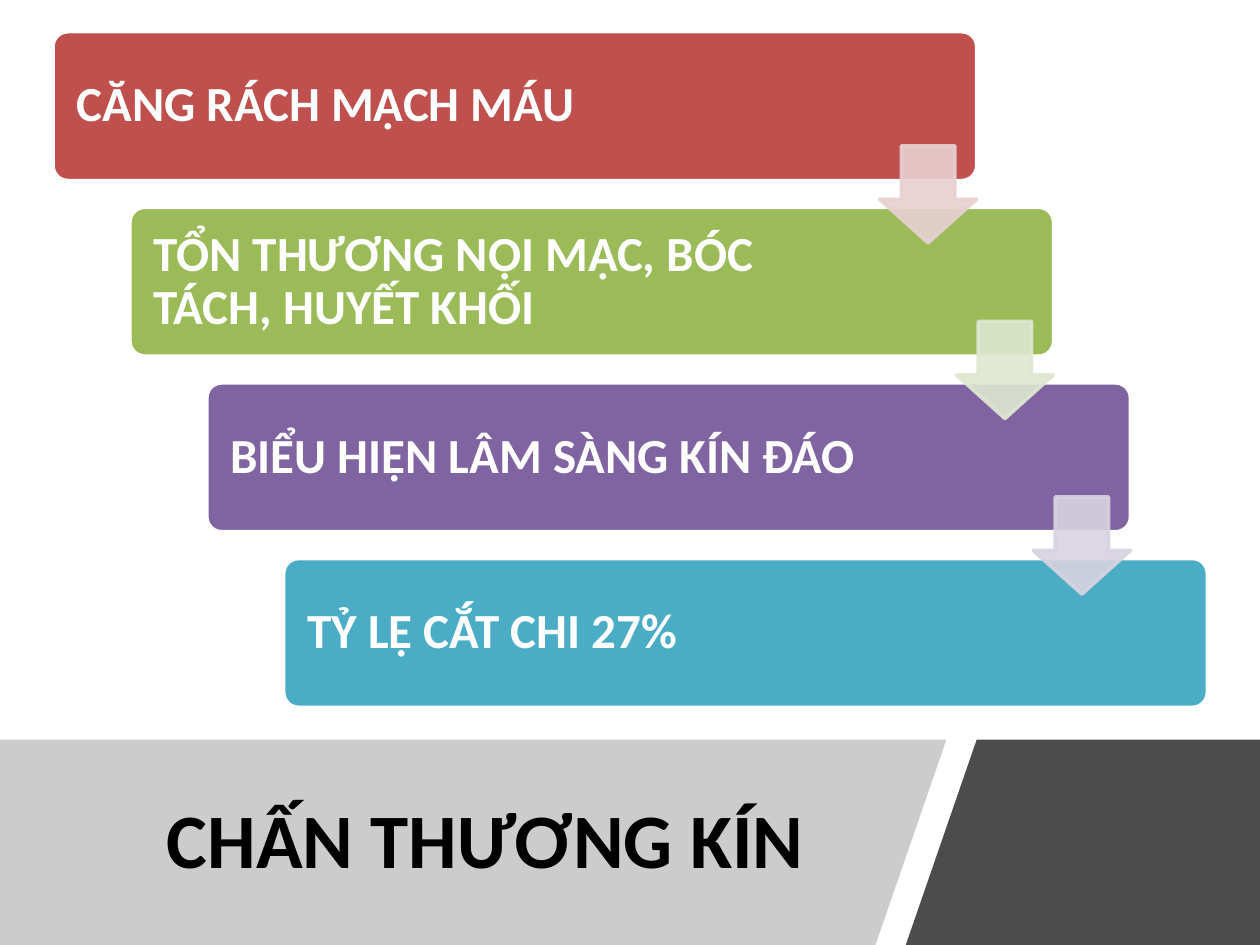
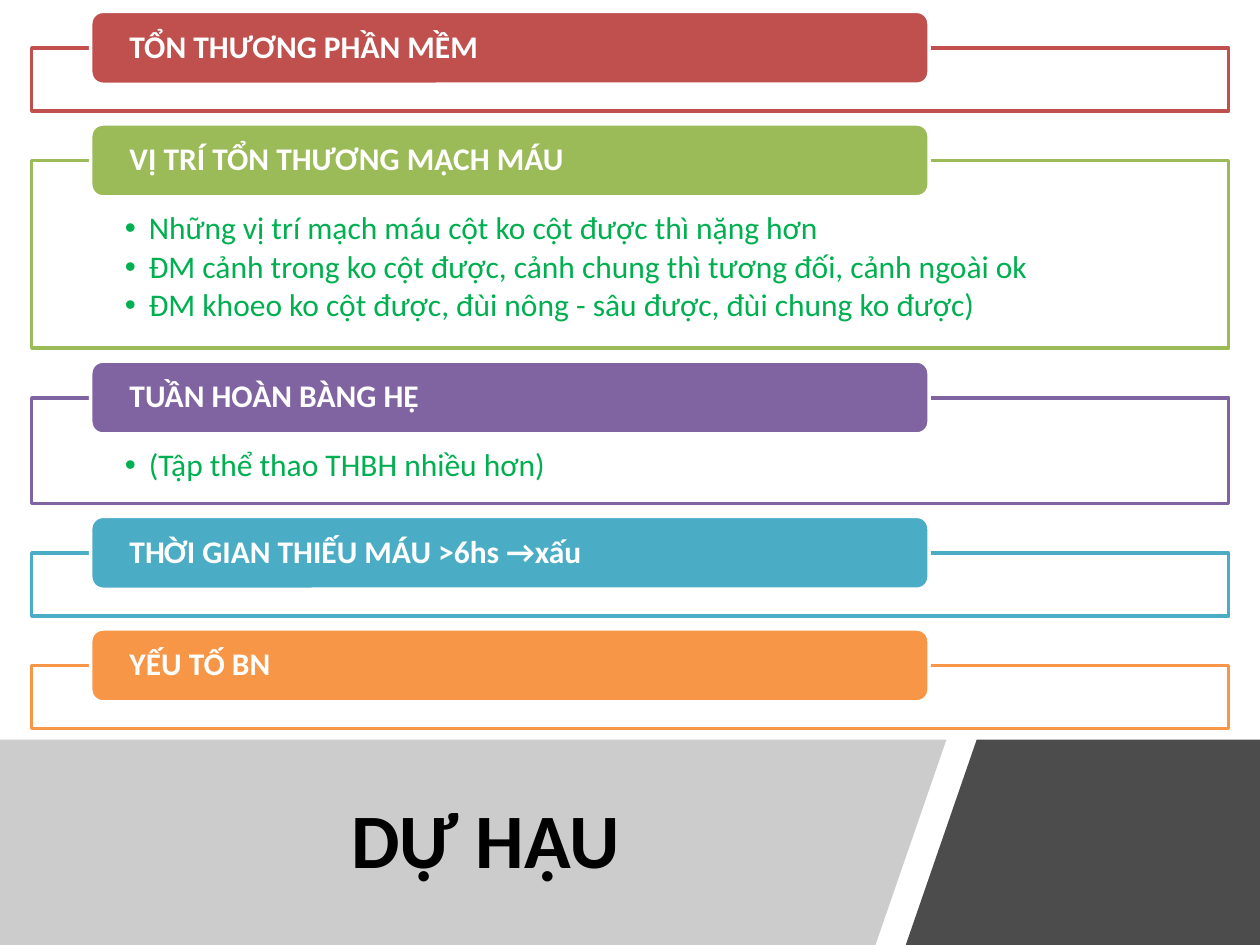
"""Build two slides on closed vascular trauma and its prognosis."""
from lxml import etree
from pptx import Presentation
from pptx.dml.color import RGBColor
from pptx.enum import shapes, text
from pptx.oxml import ns
from pptx.util import Cm, Pt

FONT = "Calibri"
COLORS = {
    "red": "C0504D", "green": "9BBB59", "purple": "8064A2", "teal": "4BACC6",
    "orange": "F79646", "pale red": "E8D0D0", "pale green": "DEE7D1",
    "pale purple": "D8D3E0", "white": "FFFFFF", "black": "000000",
    "gray": "808080", "body": "00B050",
}

TRAUMA_TITLE = "CHẤN THƯƠNG KÍN"
TRAUMA_STEPS = [
    ("CĂNG RÁCH MẠCH MÁU", "red"),
    ("TỔN THƯƠNG NỘI MẠC, BÓC TÁCH, HUYẾT KHỐI", "green"),
    ("BIỂU HIỆN LÂM SÀNG KÍN ĐÁO", "purple"),
    ("TỶ LỆ CẮT CHI 27%", "teal"),
]
PROGNOSIS_TITLE = "DỰ HẬU"
PROGNOSIS_FACTORS = [
    ("TỔN THƯƠNG PHẦN MỀM", "red", 1.27, []),
    ("VỊ TRÍ TỔN THƯƠNG MẠCH MÁU", "green", 3.78, [
        "Những vị trí mạch máu cột ko cột được thì nặng hơn",
        "ĐM cảnh trong ko cột được, cảnh chung thì tương đối, cảnh ngoài ok",
        "ĐM khoeo ko cột được, đùi nông - sâu được, đùi chung ko được)",
    ]),
    ("TUẦN HOÀN BÀNG HỆ", "purple", 2.13, ["(Tập thể thao THBH nhiều hơn)"]),
    ("THỜI GIAN THIẾU MÁU >6hs →xấu", "teal", 1.27, []),
    ("YẾU TỐ BN", "orange", 1.27, []),
]

SLIDE_WIDTH, SLIDE_HEIGHT, BAND_TOP = 25.4, 19.05, 14.91
TITLE_BAND = [(0, BAND_TOP), (19.08, BAND_TOP), (17.65, SLIDE_HEIGHT), (0, SLIDE_HEIGHT)]
CORNER_BAND = [(19.69, BAND_TOP), (SLIDE_WIDTH, BAND_TOP),
               (SLIDE_WIDTH, SLIDE_HEIGHT), (18.26, SLIDE_HEIGHT)]


def paint(shape, fill, line=None, opacities=()):
    """Set fill, outline and their opacities in percent, and drop the shadow."""
    shape.shadow.inherit = False
    shape.fill.solid()
    shape.fill.fore_color.rgb = RGBColor.from_string(COLORS[fill])
    if line:
        shape.line.color.rgb = RGBColor.from_string(COLORS[line])
        shape.line.width = Pt(2)
    else:
        shape.line.fill.background()
    colors = shape.element.spPr.iter(ns.qn("a:srgbClr"))
    for color, opacity in zip(list(colors), opacities):
        etree.SubElement(color, ns.qn("a:alpha"), val=str(opacity * 1000))


def add_block(slide, kind, box, fill, line, opacities=(), adjustments=()):
    """Add a painted preset shape at a box given in centimetres."""
    shape = slide.shapes.add_shape(kind, *map(Cm, box))
    for index, value in enumerate(adjustments):
        shape.adjustments[index] = value
    paint(shape, fill, line, opacities)
    return shape


def write(shape, lines, size, color, insets, bold=True, bulleted=False):
    """Fill a shape with left-aligned paragraphs."""
    frame = shape.text_frame
    frame.word_wrap = True
    frame.margin_left, frame.margin_top, frame.margin_right, frame.margin_bottom = map(Cm, insets)
    frame.vertical_anchor = text.MSO_ANCHOR.TOP if bulleted else text.MSO_ANCHOR.MIDDLE
    frame.text = "\n".join(lines)
    for paragraph in frame.paragraphs:
        paragraph.alignment = text.PP_ALIGN.LEFT
        paragraph.line_spacing = 0.9
        if bulleted:
            paragraph.level = 1
            paragraph.space_after = Pt(2.7)
            properties = paragraph._p.get_or_add_pPr()
            properties.set("marL", str(Cm(0.48)))
            properties.set("indent", str(-Cm(0.48)))
            etree.SubElement(properties, ns.qn("a:buFont"), typeface="Arial")
            etree.SubElement(properties, ns.qn("a:buChar"), char="•")
        style_runs(paragraph, size, color, bold)


def style_runs(paragraph, size, color, bold):
    """Format every run of a paragraph."""
    for run in paragraph.runs:
        run.font.name, run.font.size, run.font.bold = FONT, Pt(size), bold
        run.font.color.rgb = RGBColor.from_string(COLORS[color])


def add_band(slide, points, fill, opacity):
    """Add one slanted band of the footer."""
    corners = [(Cm(x), Cm(y)) for x, y in points]
    builder = slide.shapes.build_freeform(*corners[0])
    builder.add_line_segments(corners[1:])
    band = builder.convert_to_shape()
    paint(band, fill, opacities=[opacity])
    return band


def add_titled_slide(presentation, title_text):
    """Add a slide with the slanted footer bands and its title."""
    slide = presentation.slides.add_slide(presentation.slide_layouts[5])
    title = slide.shapes.title
    title.left, title.top, title.width, title.height = map(Cm, (1.75, 15.37, 16.08, 3.05))
    frame = title.text_frame
    frame.text = title_text
    frame.word_wrap = True
    frame.auto_size = text.MSO_AUTO_SIZE.NONE
    frame.vertical_anchor = text.MSO_ANCHOR.MIDDLE
    frame.paragraphs[0].alignment = text.PP_ALIGN.CENTER
    style_runs(frame.paragraphs[0], 44, "black", True)
    title.element.addprevious(add_band(slide, TITLE_BAND, "gray", 40).element)
    add_band(slide, CORNER_BAND, "black", 70)
    return slide


def add_staircase(slide, steps):
    """Lay the steps out as a descending staircase joined by arrows."""
    places = [(1.07 + 1.55 * index, 0.64 + 3.54 * index) for index in range(len(steps))]
    for (left, top), (label, color) in zip(places, steps):
        step = add_block(slide, shapes.MSO_SHAPE.ROUNDED_RECTANGLE, (left, top, 18.62, 3),
                         color, "white", adjustments=[0.1])
        write(step, [label], 28, "white", (0.39, 0.3, 3.75, 0.3))
    for (left, top), (_, color) in zip(places[:-1], steps):
        pale = f"pale {color}"
        add_block(slide, shapes.MSO_SHAPE.DOWN_ARROW, (left + 16.66, top + 2.3, 1.96, 1.96),
                  pale, pale, (90, 90), (0.55, 0.45))


def add_factor_list(slide, factors):
    """Stack outlined boxes, each with a heading over its top edge."""
    top = 0.97
    for heading, color, height, details in factors:
        box = add_block(slide, shapes.MSO_SHAPE.RECTANGLE, (0.64, top, 24.13, height),
                        "white", color, [90])
        if details:
            write(box, details, 18, "body", (1.88, 1.04, 1.88, 0.36), False, True)
        tab = add_block(slide, shapes.MSO_SHAPE.ROUNDED_RECTANGLE,
                        (1.83, top - 0.74, 16.9, 1.47), color, "white")
        write(tab, [heading], 18, "white", (0.71, 0, 0.71, 0))
        top += height + 1


def main():
    """Build and save the presentation."""
    presentation = Presentation()
    presentation.slide_width, presentation.slide_height = Cm(SLIDE_WIDTH), Cm(SLIDE_HEIGHT)
    add_staircase(add_titled_slide(presentation, TRAUMA_TITLE), TRAUMA_STEPS)
    add_factor_list(add_titled_slide(presentation, PROGNOSIS_TITLE), PROGNOSIS_FACTORS)
    presentation.save("out.pptx")


if __name__ == "__main__":
    main()
